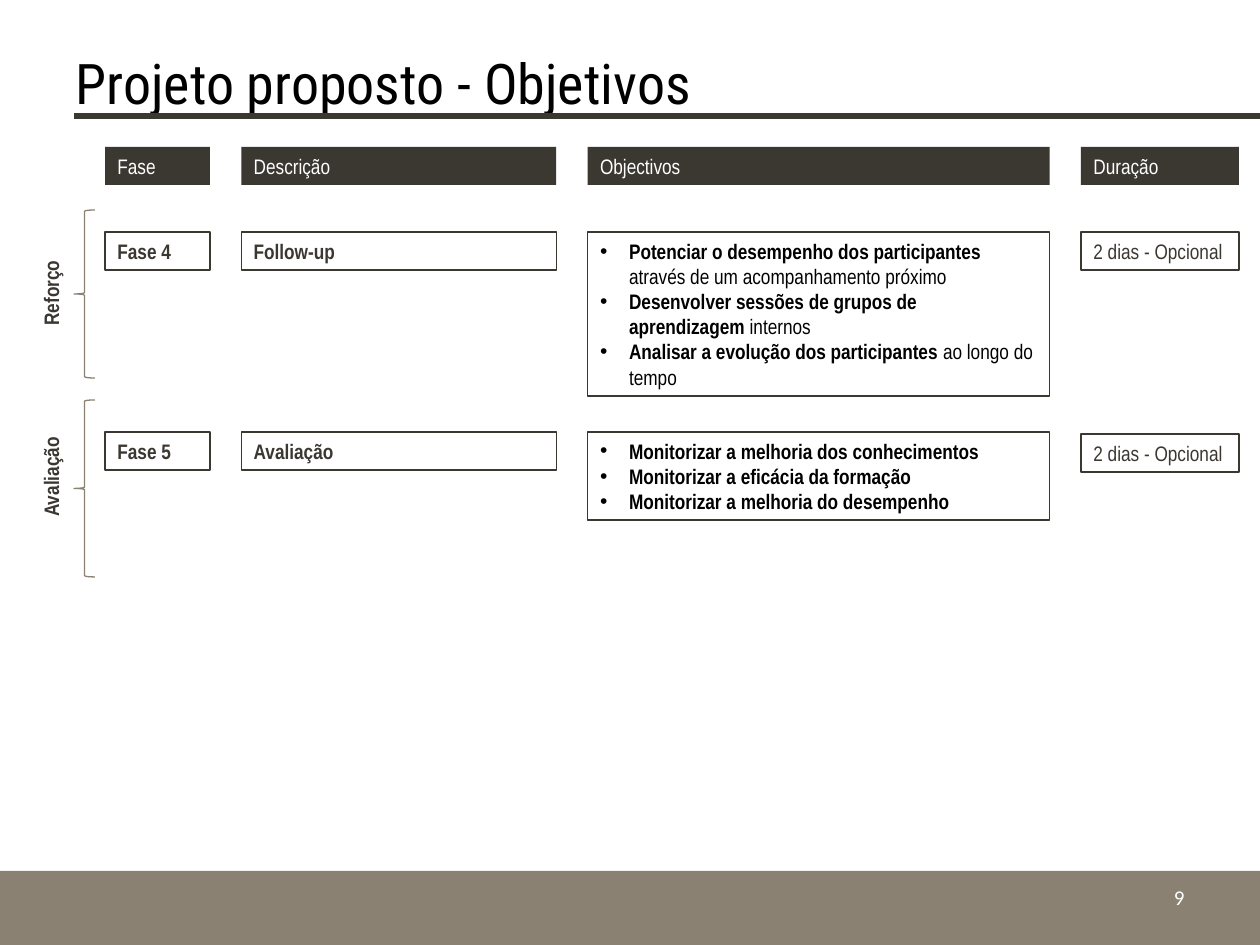
from lxml import etree
from pptx import Presentation
from pptx import util as u
from pptx.dml.color import RGBColor
from pptx.enum import shapes, text
from pptx.oxml.ns import qn

PX = 914400 // 126
DARK = RGBColor(0x3B, 0x37, 0x31)
TAUPE = RGBColor(0x8B, 0x81, 0x72)
BLACK = RGBColor(0, 0, 0)
WHITE = RGBColor(255, 255, 255)
BODY_FONT = "Arial Narrow"

# Content: each paragraph is a list of (text, bold) spans
TITLE = "Projeto proposto - Objetivos"
PAGE_NUMBER = "9"
HEADERS = ["Fase", "Descrição", "Objectivos", "Duração"]
PHASES = [
    {
        "top": 232, "objectives_height": 164, "duration_top": 232,
        "name": "Fase 4", "description": "Follow-up", "duration": "2 dias - Opcional",
        "objectives": [
            [("Potenciar o desempenho dos participantes ", True),
             ("através de um acompanhamento próximo", False)],
            [("Desenvolver sessões de grupos de aprendizagem ", True), ("internos", False)],
            [("Analisar a evolução dos participantes ", True), ("ao longo do tempo", False)],
        ],
    },
    {
        "top": 432, "objectives_height": 88, "duration_top": 434,
        "name": "Fase 5", "description": "Avaliação", "duration": "2 dias - Opcional",
        "objectives": [
            [("Monitorizar a melhoria dos conhecimentos", True)],
            [("Monitorizar a eficácia da formação", True)],
            [("Monitorizar a melhoria do desempenho", True)],
        ],
    },
]
# label, label centre, label length, brace top, brace height
STAGES = [("Reforço", 293, 105, 210, 168), ("Avaliação", 477, 136, 400, 177)]

# Column grid
WIDTHS = [105, 315, 462, 158]
GRID_LEFT, GRID_RIGHT = 105, 1239
GAP = (GRID_RIGHT - GRID_LEFT - sum(WIDTHS)) / (len(WIDTHS) - 1)
LEFTS = [GRID_LEFT + sum(WIDTHS[:i]) + i * GAP for i in range(len(WIDTHS))]
HEADER_TOP, ROW_HEIGHT = 147, 38
BULLET_INDENT = 29


def px(*lengths):
    return [u.Emu(round(length * PX)) for length in lengths]


def add_bullet(para):
    props = para._p.get_or_add_pPr()
    indent = BULLET_INDENT * PX
    props.set("marL", str(indent))
    props.set("indent", str(-indent))
    etree.SubElement(props, qn("a:buFont")).set("typeface", "Arial")
    etree.SubElement(props, qn("a:buChar")).set("char", "•")


def write(box, paragraphs, color, align=text.PP_ALIGN.LEFT, font=BODY_FONT,
          size=12, bullets=False):
    frame = box.text_frame
    frame.word_wrap = True
    for i, spans in enumerate(paragraphs):
        para = frame.paragraphs[0] if i == 0 else frame.add_paragraph()
        para.alignment = align
        if bullets:
            add_bullet(para)
        for words, bold in spans:
            span = para.add_run()
            span.text = words
            span.font.name = font
            span.font.size = u.Pt(size)
            span.font.bold = bold
            span.font.color.rgb = color


def add_shape(page, kind, place, fill=None, line=None):
    shape = page.shapes.add_shape(kind, *px(*place))
    shape.shadow.inherit = False
    if fill is None:
        shape.fill.background()
    else:
        shape.fill.solid()
        shape.fill.fore_color.rgb = fill
    if line is None:
        shape.line.fill.background()
    else:
        shape.line.color.rgb = line
        shape.line.width = u.Pt(0.75)
    return shape


def add_cell(page, column, top, paragraphs, color, height=ROW_HEIGHT,
             fill=None, line=DARK, bullets=False):
    cell = add_shape(page, shapes.MSO_SHAPE.RECTANGLE,
                     (LEFTS[column], top, WIDTHS[column], height), fill, line)
    cell.text_frame.vertical_anchor = text.MSO_ANCHOR.TOP
    cell.text_frame.auto_size = text.MSO_AUTO_SIZE.SHAPE_TO_FIT_TEXT
    write(cell, paragraphs, color, bullets=bullets)


def add_stage(page, label, centre, length, brace_top, brace_height):
    box = page.shapes.add_textbox(
        *px(51 - length / 2, centre - ROW_HEIGHT / 2, length, ROW_HEIGHT))
    box.rotation = 270
    write(box, [[(label, True)]], DARK, text.PP_ALIGN.CENTER)
    brace = add_shape(page, shapes.MSO_SHAPE.LEFT_BRACE,
                      (74, brace_top, 21, brace_height), line=TAUPE)
    brace.adjustments[0] = 0.06


def main():
    deck = Presentation()
    deck.slide_width, deck.slide_height = u.Inches(10), u.Inches(7.5)
    page = deck.slides.add_slide(deck.slide_layouts[5])

    # Footer band and page number
    add_shape(page, shapes.MSO_SHAPE.RECTANGLE, (0, 871, 1260, 74), TAUPE)
    number = page.shapes.add_textbox(*px(903, 872, 294, 50))
    number.text_frame.vertical_anchor = text.MSO_ANCHOR.MIDDLE
    write(number, [[(PAGE_NUMBER, False)]], WHITE, text.PP_ALIGN.RIGHT, "Calibri")

    # Title and rule
    title = page.shapes.title
    title.left, title.top, title.width, title.height = px(63, 38, 1134, 88)
    title.text_frame.vertical_anchor = text.MSO_ANCHOR.MIDDLE
    title.text_frame.auto_size = text.MSO_AUTO_SIZE.NONE
    write(title, [[(TITLE, False)]], BLACK, font="Roboto Condensed", size=32)
    rule = page.shapes.add_connector(shapes.MSO_CONNECTOR.STRAIGHT,
                                     *px(74, 116, 1260, 116))
    rule.line.color.rgb = DARK
    rule.line.width = u.Pt(3.75)
    etree.SubElement(rule._element.spPr, qn("a:effectLst"))

    # Column headers
    for column, header in enumerate(HEADERS):
        add_cell(page, column, HEADER_TOP, [[(header, False)]], WHITE,
                 fill=DARK, line=None)

    # Phases
    for phase in PHASES:
        top = phase["top"]
        add_cell(page, 0, top, [[(phase["name"], True)]], DARK)
        add_cell(page, 1, top, [[(phase["description"], True)]], DARK)
        add_cell(page, 2, top, phase["objectives"], BLACK,
                 height=phase["objectives_height"], bullets=True)
        add_cell(page, 3, phase["duration_top"], [[(phase["duration"], False)]], DARK)

    # Stage labels and braces
    for stage in STAGES:
        add_stage(page, *stage)

    deck.save("out.pptx")


if __name__ == "__main__":
    main()
